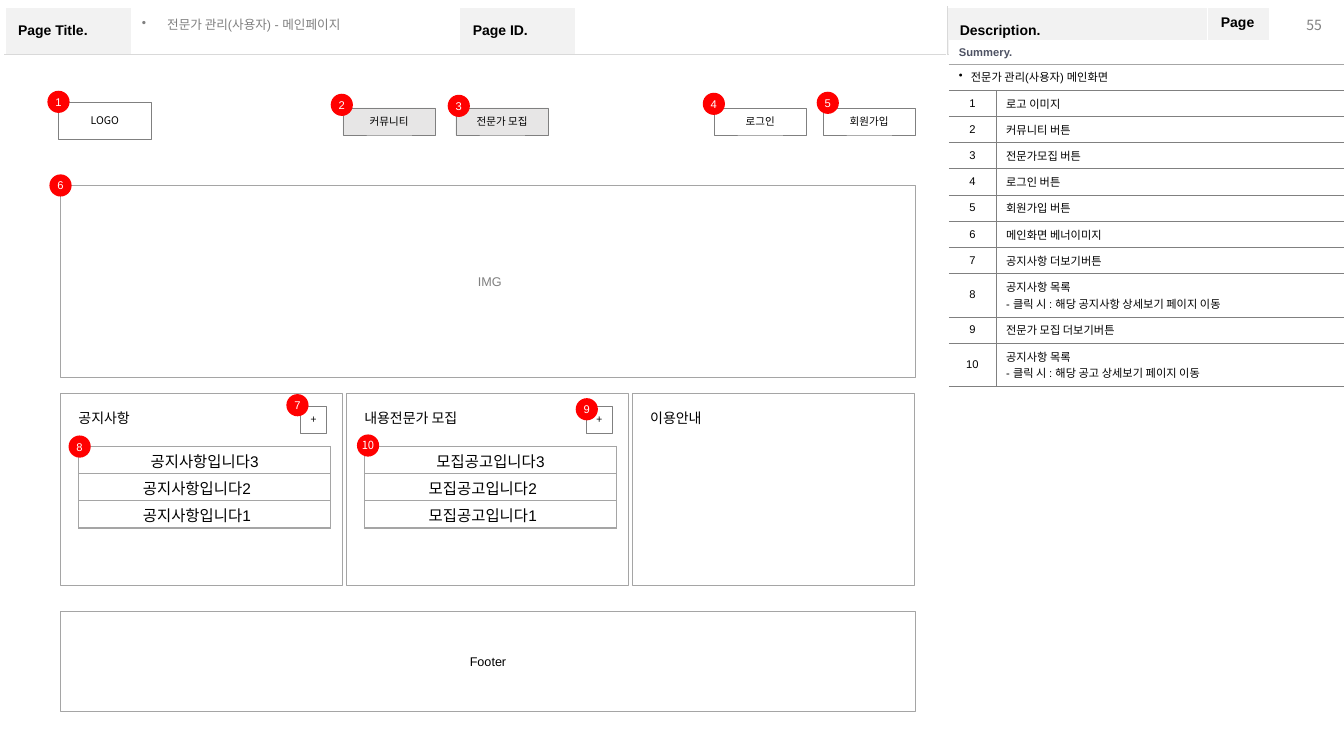
from dataclasses import dataclass

from lxml import etree
from pptx import Presentation
from pptx.dml.color import RGBColor
from pptx.enum import shapes, text
from pptx.oxml import ns
from pptx.util import Inches, Pt


@dataclass(frozen=True)
class Theme:
    latin: str = "Arial"
    korean: str = "Noto Sans CJK KR"
    black: str = "000000"
    white: str = "FFFFFF"
    band: str = "F2F2F2"
    rule: str = "D9D9D9"
    gray: str = "808080"
    muted: str = "7F7F7F"
    frame: str = "A5A5A5"
    summary_rule: str = "A6A6A6"
    summary: str = "4E5263"
    button: str = "E7E6E6"
    badge: str = "FF0000"
    tiny: float = 7.5
    small: float = 8
    body: float = 9
    label: float = 10
    list_item: float = 11
    hairline: float = 0.25
    thin: float = 0.75


LEFT, CENTER, RIGHT, JUSTIFY = (
    text.PP_ALIGN.LEFT, text.PP_ALIGN.CENTER, text.PP_ALIGN.RIGHT, text.PP_ALIGN.JUSTIFY)
MIDDLE, TOP = text.MSO_ANCHOR.MIDDLE, text.MSO_ANCHOR.TOP


class Wireframe:
    def __init__(self, slide, theme):
        self.slide = slide
        self.theme = theme

    def set_text(self, text_frame, words, size, font=None, color=None, bold=False,
                 align=CENTER, bullet_indent=None):
        text_frame.text = words
        for paragraph in text_frame.paragraphs:
            paragraph.alignment = align
            if bullet_indent:
                properties = paragraph._p.get_or_add_pPr()
                properties.set("marL", str(Inches(bullet_indent)))
                properties.set("indent", str(-Inches(bullet_indent)))
                etree.SubElement(properties, ns.qn("a:buChar")).set("char", "•")
            paragraph.font.size = Pt(size)
            paragraph.font.bold = bold
            paragraph.font.color.rgb = RGBColor.from_string(color or self.theme.black)
            paragraph.font.name = font or self.theme.latin
            latin = paragraph.font._element.find(ns.qn("a:latin"))
            east_asian = etree.Element(ns.qn("a:ea"), typeface=self.theme.korean)
            latin.addnext(east_asian)

    def label(self, box, words, size, anchor=TOP, **style):
        frame = self.slide.shapes.add_textbox(*map(Inches, box)).text_frame
        frame.word_wrap = True
        frame.vertical_anchor = anchor
        self.set_text(frame, words, size, **style)

    def block(self, box, words="", size=None, fill=None, line=None, width=None,
              kind=shapes.MSO_SHAPE.RECTANGLE, **style):
        shape = self.slide.shapes.add_shape(kind, *map(Inches, box))
        shape.shadow.inherit = False
        shape.fill.solid()
        shape.fill.fore_color.rgb = RGBColor.from_string(fill or self.theme.white)
        if line:
            shape.line.color.rgb = RGBColor.from_string(line)
            shape.line.width = Pt(width)
        else:
            shape.line.fill.background()
        if words:
            frame = shape.text_frame
            frame.margin_left = frame.margin_right = 0
            frame.margin_top = frame.margin_bottom = 0
            frame.word_wrap = False
            frame.vertical_anchor = MIDDLE
            self.set_text(frame, words, size, **style)

    def button(self, box, words, fill=None):
        self.block(box, words, self.theme.tiny, fill, self.theme.gray,
                   self.theme.hairline, font=self.theme.korean)

    def panel(self, box, words="", **style):
        self.block(box, words, self.theme.body, line=self.theme.frame,
                   width=self.theme.thin, **style)

    def badge(self, left, top, number, font=None):
        self.block((left, top, 0.22, 0.22), str(number), self.theme.small,
                   self.theme.badge, kind=shapes.MSO_SHAPE.OVAL,
                   color=self.theme.white, font=font)

    def table(self, left, top, columns, rows):
        table = self.slide.shapes.add_table(
            len(rows), len(columns), Inches(left), Inches(top),
            Inches(sum(columns)), Inches(sum(rows))).table
        table.first_row = table.horz_banding = False
        for column, width in zip(table.columns, columns):
            column.width = Inches(width)
        for row, height in zip(table.rows, rows):
            row.height = Inches(height)
        return table

    def cell(self, cell, borders, words="", size=None, fill=None,
             margins=(0.1, 0.05, 0.1, 0.05), **style):
        """Fill one cell; borders maps L, R, T, B to (colour, points)."""
        properties = cell._tc.get_or_add_tcPr()
        for side in "LRTB":
            line = etree.SubElement(properties, ns.qn("a:ln" + side))
            if side in borders:
                color, points = borders[side]
                line.set("w", str(Pt(points)))
                solid = etree.SubElement(line, ns.qn("a:solidFill"))
                etree.SubElement(solid, ns.qn("a:srgbClr")).set("val", color)
            else:
                etree.SubElement(line, ns.qn("a:noFill"))
        if fill:
            cell.fill.solid()
            cell.fill.fore_color.rgb = RGBColor.from_string(fill)
        else:
            cell.fill.background()
        (cell.margin_left, cell.margin_top,
         cell.margin_right, cell.margin_bottom) = map(Inches, margins)
        cell.vertical_anchor = MIDDLE
        if words:
            self.set_text(cell.text_frame, words, size, **style)


def add_header(page, theme):
    headings = ["Page Title.", "", "Page ID.", "", "Description.", "Page.", ""]
    table = page.table(0.05, 0.07, [1.26, 3.25, 1.15, 3.68, 2.59, 0.61, 0.68], [0.47, 6.66])
    rule, blank = (theme.rule, theme.hairline), (theme.white, 1)
    for index, heading in enumerate(headings):
        sides = {"L": rule if index == 4 else blank, "R": rule if index == 3 else blank}
        page.cell(table.cell(0, index), {**sides, "T": blank, "B": rule}, heading, theme.label,
                  theme.band if heading else None, (0.13, 0.07, 0.13, 0.07),
                  bold=True, align=LEFT)
        page.cell(table.cell(1, index), {**sides, "T": rule, "B": blank})
    table.cell(1, 0).merge(table.cell(1, 3))
    table.cell(1, 4).merge(table.cell(1, 6))
    page.label((12.61, 0.1, 0.6, 0.3), "55", theme.label, MIDDLE,
               font=theme.korean, color=theme.muted, align=RIGHT)
    page.label((1.31, 0.12, 3.24, 0.24), "전문가 관리(사용자) - 메인페이지", theme.body, MIDDLE,
               color=theme.gray, align=LEFT, bullet_indent=0.25)


def add_description(page, theme):
    notes = ["로고 이미지", "커뮤니티 버튼", "전문가모집 버튼", "로그인 버튼", "회원가입 버튼",
             "메인화면 베너이미지", "공지사항 더보기버튼",
             "공지사항 목록\n- 클릭 시 : 해당 공지사항 상세보기 페이지 이동",
             "전문가 모집 더보기버튼",
             "공지사항 목록\n- 클릭 시 : 해당 공고 상세보기 페이지 이동"]
    heights = [0.22, 0.26] + [0.43 if "\n" in note else 0.26 for note in notes]
    table = page.table(9.41, 0.4, [0.47, 3.46], heights)
    line, summary_line = (theme.gray, theme.hairline), (theme.summary_rule, theme.hairline)
    for row in (0, 1):
        table.cell(row, 0).merge(table.cell(row, 1))
    for column in (0, 1):
        page.cell(table.cell(0, column), {"B": summary_line}, fill=theme.white)
        page.cell(table.cell(1, column), {"T": summary_line, "B": line})
    page.set_text(table.cell(0, 0).text_frame, "Summery.", theme.small,
                  color=theme.summary, bold=True, align=LEFT)
    page.set_text(table.cell(1, 0).text_frame, "전문가 관리(사용자) 메인화면", theme.small,
                  align=JUSTIFY, bullet_indent=0.12)
    for number, note in enumerate(notes, 1):
        edges = {"T": line, "B": line}
        page.cell(table.cell(number + 1, 0), {**edges, "R": line}, str(number), theme.small)
        page.cell(table.cell(number + 1, 1), {**edges, "L": line}, note, theme.small,
                  align=JUSTIFY)


def add_main_page(page, theme):
    page.button((0.58, 1.01, 0.92, 0.37), "LOGO")
    for left, words, fill in [(3.4, "커뮤니티", theme.button), (4.52, "전문가 모집", theme.button),
                              (7.08, "로그인", None), (8.16, "회원가입", None)]:
        page.button((left, 1.07, 0.92, 0.27), words, fill)
    page.panel((0.6, 1.84, 8.48, 1.91), " IMG", color=theme.muted)
    page.panel((0.6, 6.07, 8.48, 0.99), "Footer")

    border = dict.fromkeys("LRTB", (theme.frame, 1))
    for index, (title, item) in enumerate([("공지사항", "공지사항입니다"),
                                           ("내용전문가 모집", "모집공고입니다"),
                                           ("이용안내", None)]):
        left = 0.6 + 2.835 * index
        page.panel((left, 3.9, 2.8, 1.91))
        page.label((left + 0.08, 4.01, 1.45, 0.27), title, theme.label,
                   font=theme.korean, align=LEFT)
        if item:
            table = page.table(left + 0.18, 4.43, [2.5], [0.27] * 3)
            for row, ending in enumerate(["3", "2　", "1　"]):
                page.cell(table.cell(row, 0), border, item + ending, theme.list_item,
                          margins=(0.01, 0.01, 0.01, 0))
            page.button((left + 2.38, 4.03, 0.26, 0.27), "+")

    badges = [(0.47, 0.9), (3.28, 0.93), (4.44, 0.94), (6.97, 0.92), (8.1, 0.91),
              (0.49, 1.73), (2.84, 3.91), (0.68, 4.32), (5.71, 3.95), (3.54, 4.31)]
    for number, (left, top) in enumerate(badges, 1):
        page.badge(left, top, number, theme.korean if number == 10 else None)


def main():
    presentation = Presentation()
    presentation.slide_width, presentation.slide_height = Inches(13.33), Inches(7.5)
    theme = Theme()
    page = Wireframe(presentation.slides.add_slide(presentation.slide_layouts[6]), theme)
    add_header(page, theme)
    add_description(page, theme)
    add_main_page(page, theme)
    presentation.save("out.pptx")


if __name__ == "__main__":
    main()
